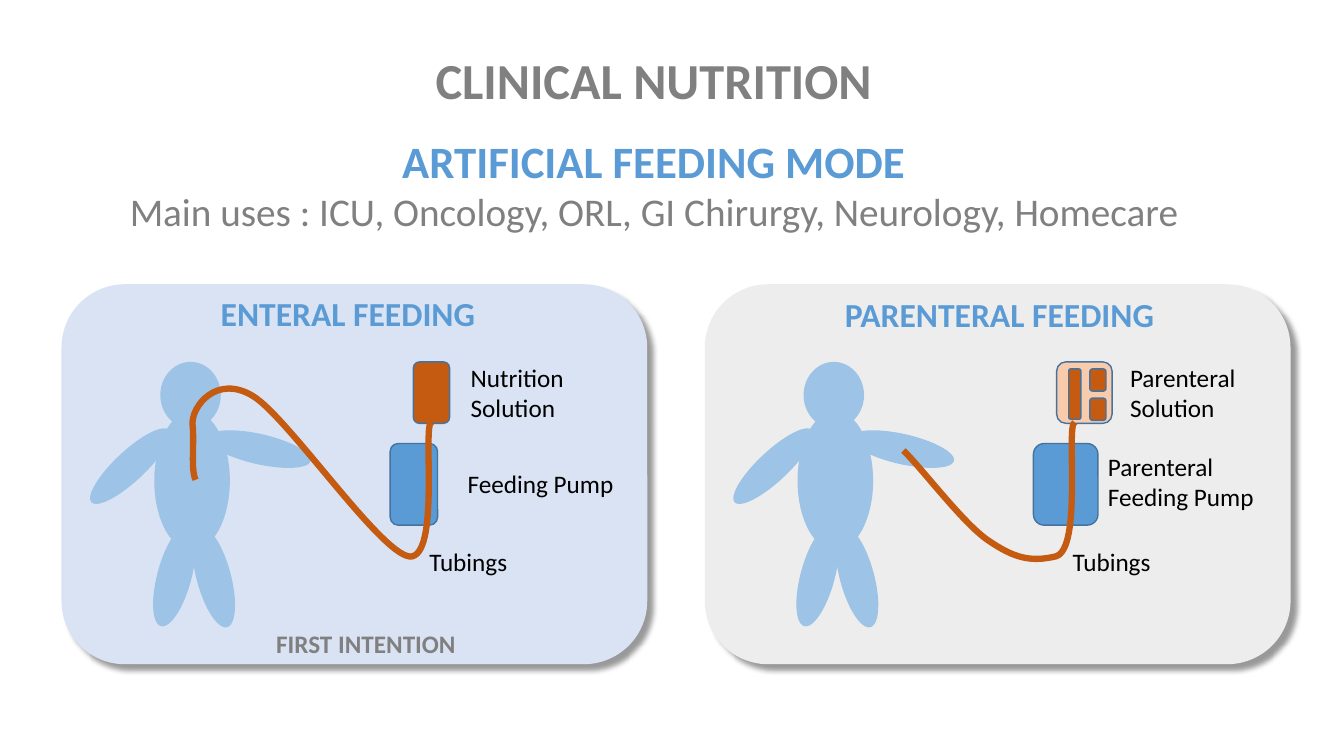
from lxml import etree
from pptx import Presentation
from pptx import util as u
from pptx.dml.color import RGBColor
from pptx.enum import shapes, text
from pptx.oxml import parse_xml
from pptx.oxml import ns

PX = 9144
ROUND = shapes.MSO_SHAPE.ROUNDED_RECTANGLE
OVAL = shapes.MSO_SHAPE.OVAL
BLUE, GRAY, RUST, EDGE = "5B9BD5", "808080", "C55A11", "43739E"
color = RGBColor.from_string

deck = Presentation()
deck.slide_width, deck.slide_height = 1333 * PX, 750 * PX
slide = deck.slides.add_slide(deck.slide_layouts[6])


def draw(home, kind, at, fill, line=None):
    shape = home.add_shape(kind, *[n * PX for n in at])
    shape.shadow.inherit = False
    shape.fill.solid()
    shape.fill.fore_color.rgb = color(fill)
    if line:
        shape.line.color.rgb = color(line)
        shape.line.width = u.Pt(1)
    else:
        shape.line.fill.background()
    return shape


def write(at, lines, wrap=True):
    frame = slide.shapes.add_textbox(*[n * PX for n in at]).text_frame
    frame.word_wrap = wrap
    frame.auto_size = text.MSO_AUTO_SIZE.SHAPE_TO_FIT_TEXT
    frame.text = "\n".join(line[0] for line in lines)
    for para, (_, size, tint, bold) in zip(frame.paragraphs, lines):
        para.alignment = text.PP_ALIGN.LEFT if wrap else text.PP_ALIGN.CENTER
        font = para.runs[0].font
        font.name, font.size, font.bold = "Calibri", u.Pt(size), bold
        font.color.rgb = color(tint)
    return frame


body = [
    (159, 359, 60, 66, 0),
    (153, 408, 75, 138, 0),
    (242, 393, 30, 105, 282.8),
    (114, 410, 30, 105, 46.9),
    (156, 520, 34, 103, 15),
    (195, 521, 34, 103, 345),
]
panels = [
    {
        "left": 61, "fill": "DAE3F3",
        "parts": [((410, 359, 36, 61), RUST), ((387, 440, 47, 81), BLUE)],
        "tube": [(194, 476), (189, 466), (193, 439), (191, 421),
                 (190, 403), (215, 371), (251, 393),
                 (287, 415), (383, 558), (409, 552),
                 (436, 545), (419, 420), (428, 419)],
        "head": ((209, 286, 388, 50), "ENTERAL FEEDING"),
        "notes": [((457, 354, 186, 71), "Nutrition Solution"),
                  ((454, 460, 169, 40), "Feeding Pump"),
                  ((416, 537, 134, 40), "Tubings")],
    },
    {
        "left": 699, "fill": "EDEDED",
        "parts": [((1048, 359, 55, 61), "F8CBAD"), ((1025, 440, 64, 81), BLUE),
                  ((1060, 366, 12, 50), RUST), ((1081, 366, 16, 22), RUST),
                  ((1081, 395, 16, 22), RUST)],
        "tube": [(896, 447), (914, 464), (955, 519), (980, 536),
                 (1005, 553), (1021, 558), (1047, 552),
                 (1074, 545), (1057, 420), (1066, 419)],
        "head": ((828, 287, 388, 50), "PARENTERAL FEEDING"),
        "notes": [((1111, 354, 137, 71), "Parenteral Solution"),
                  ((1089, 443, 169, 71), "Parenteral Feeding Pump"),
                  ((1054, 537, 134, 40), "Tubings")],
    },
]

for panel in panels:
    card = draw(slide.shapes, ROUND, (panel["left"], 282, 581, 377), panel["fill"])
    glow = card._element.spPr.find(ns.qn("a:effectLst"))
    glow.append(parse_xml(
        f'<a:outerShdw {ns.nsdecls("a")} blurRad="50800" dist="76200" dir="2700000" '
        'algn="tl" rotWithShape="0"><a:srgbClr val="000000"><a:alpha val="40000"/>'
        '</a:srgbClr></a:outerShdw>'))

    person = slide.shapes.add_group_shape()
    shift = panel["left"] - panels[0]["left"]
    for x, y, w, h, turn in body:
        limb = draw(person.shapes, OVAL, (x + shift, y, w, h), "9DC3E6")
        limb.rotation = turn

    for at, fill in panel["parts"]:
        draw(slide.shapes, ROUND, at, fill, EDGE)

    start, *rest = panel["tube"]
    pen = slide.shapes.build_freeform(*start, scale=PX)
    pen.add_line_segments(rest, close=False)
    tube = pen.convert_to_shape()
    tube.shadow.inherit = False
    tube.fill.background()
    tube.line.color.rgb = color(RUST)
    tube.line.width = u.Pt(4.5)
    steps = tube._element.xpath(".//a:lnTo")
    for i in range(0, len(steps), 3):
        curve = etree.SubElement(steps[i].getparent(), ns.qn("a:cubicBezTo"))
        for step in steps[i:i + 3]:
            curve.append(step[0])
            step.getparent().remove(step)

    at, name = panel["head"]
    write(at, [(name, 24, BLUE, True)])
    for at, note in panel["notes"]:
        write(at, [(note, 18, "000000", False)])

title = write((113, 44, 1071, 195), [
    ("CLINICAL NUTRITION", 36, GRAY, True),
    ("ARTIFICIAL FEEDING MODE", 32, BLUE, True),
    ("Main uses : ICU, Oncology, ORL, GI Chirurgy, Neurology, Homecare", 28, GRAY, False),
], wrap=False)
title.paragraphs[1].space_before = u.Pt(17)
write((263, 618, 200, 40), [("FIRST INTENTION", 18, GRAY, True)], wrap=False)

deck.save("out.pptx")
